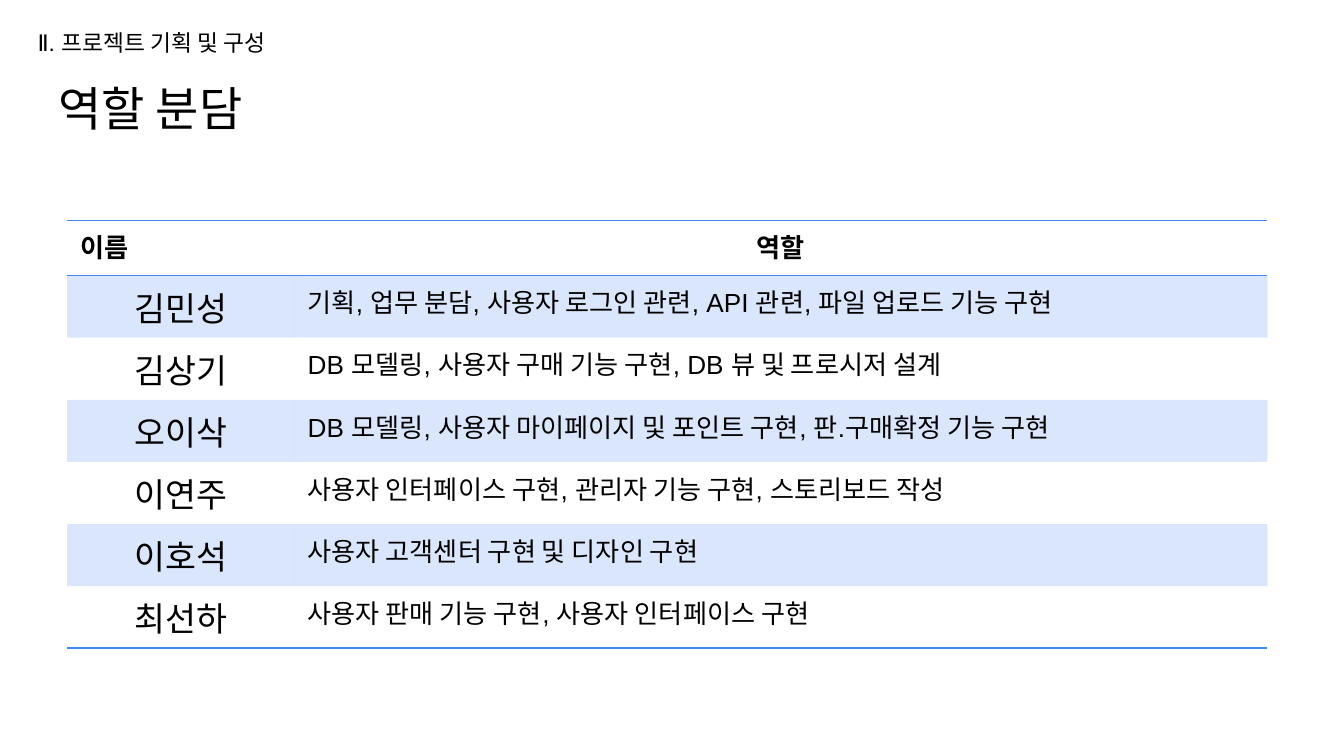
from dataclasses import dataclass

from lxml import etree
from pptx import Presentation
from pptx.dml.color import RGBColor
from pptx.enum.text import MSO_ANCHOR, MSO_AUTO_SIZE, PP_ALIGN
from pptx.oxml.ns import qn
from pptx.util import Cm, Pt

LEFT, CENTER = PP_ALIGN.LEFT, PP_ALIGN.CENTER
TOP, MIDDLE = MSO_ANCHOR.TOP, MSO_ANCHOR.MIDDLE
NO_FIT = MSO_AUTO_SIZE.NONE
BLACK = RGBColor(0x00, 0x00, 0x00)
BLUE = RGBColor(0x42, 0x85, 0xF4)
FONT = "Arial"
PLAIN = "{2D5ABB26-0587-4C30-8999-92F81FD0307C}"


@dataclass
class Member:
    name: str
    role: str


MEMBERS = [
    Member("김민성", "기획, 업무 분담, 사용자 로그인 관련, API 관련, 파일 업로드 기능 구현"),
    Member("김상기", "DB 모델링, 사용자 구매 기능 구현, DB 뷰 및 프로시저 설계"),
    Member("오이삭", "DB 모델링, 사용자 마이페이지 및 포인트 구현, 판.구매확정 기능 구현"),
    Member("이연주", "사용자 인터페이스 구현, 관리자 기능 구현, 스토리보드 작성"),
    Member("이호석", "사용자 고객센터 구현 및 디자인 구현"),
    Member("최선하", "사용자 판매 기능 구현, 사용자 인터페이스 구현"),
]


def write(frame, text: str, size: float, align=LEFT, bold: bool = False) -> None:
    para = frame.paragraphs[0]
    para.alignment = align
    run = para.add_run()
    run.text = text
    run.font.name = FONT
    run.font.size = Pt(size)
    run.font.bold = bold
    run.font.color.rgb = BLACK


def label(shape, text: str, size: float, anchor) -> None:
    frame = shape.text_frame
    frame.word_wrap = True
    frame.auto_size = NO_FIT
    frame.vertical_anchor = anchor
    frame.margin_left = frame.margin_right = Cm(0.25)
    frame.margin_top = frame.margin_bottom = Cm(0.25)
    write(frame, text, size)


def rule(cell, *sides: str) -> None:
    props = cell._tc.get_or_add_tcPr()
    for spot, side in enumerate(sides):
        line = etree.Element(qn(f"a:{side}"), w=str(Pt(1)))
        fill = etree.SubElement(line, qn("a:solidFill"))
        etree.SubElement(fill, qn("a:srgbClr"), val=str(BLUE))
        props.insert(spot, line)


def tint(cell) -> None:
    cell.fill.solid()
    cell.fill.fore_color.rgb = BLUE
    color = cell._tc.tcPr.find(f"{qn('a:solidFill')}/{qn('a:srgbClr')}")
    etree.SubElement(color, qn("a:alpha"), val="20000")


def grid(slide, members: list[Member]) -> None:
    count = len(members)
    frame = slide.shapes.add_table(
        count + 1, 2, Cm(1.27), Cm(4.17), Cm(22.68), Cm(1.04 + 1.17 * count)
    )
    table = frame.table
    table.first_row = table.horz_banding = False
    table._tbl.tblPr.find(qn("a:tableStyleId")).text = PLAIN
    table.columns[0].width = Cm(4.29)
    table.columns[1].width = Cm(18.39)
    for row in table.rows:
        row.height = Cm(1.17)
    table.rows[0].height = Cm(1.04)

    write(table.cell(0, 0).text_frame, "이름", 14, bold=True)
    write(table.cell(0, 1).text_frame, "역할", 14, CENTER, True)
    for num, member in enumerate(members, 1):
        write(table.cell(num, 0).text_frame, member.name, 18, CENTER)
        write(table.cell(num, 1).text_frame, member.role, 14)
        for cell in table.rows[num].cells:
            if num % 2:
                tint(cell)
            else:
                cell.fill.background()
    for cell in table.rows[0].cells:
        cell.fill.background()
        rule(cell, "lnT", "lnB")
    for cell in table.rows[count].cells:
        rule(cell, "lnB")


def main() -> None:
    deck = Presentation()
    deck.slide_width, deck.slide_height = Cm(25.4), Cm(14.29)
    slide = deck.slides.add_slide(deck.slide_layouts[5])
    title = slide.shapes.title
    title.left, title.top = Cm(0.86), Cm(1.24)
    title.width, title.height = Cm(23.67), Cm(1.6)
    label(title, "역할 분담", 25.2, MIDDLE)
    part = slide.shapes.add_textbox(Cm(0.46), Cm(0.3), Cm(6.91), Cm(0.84))
    label(part, "Ⅱ. 프로젝트 기획 및 구성", 12.2, TOP)
    grid(slide, MEMBERS)
    deck.save("out.pptx")


if __name__ == "__main__":
    main()
